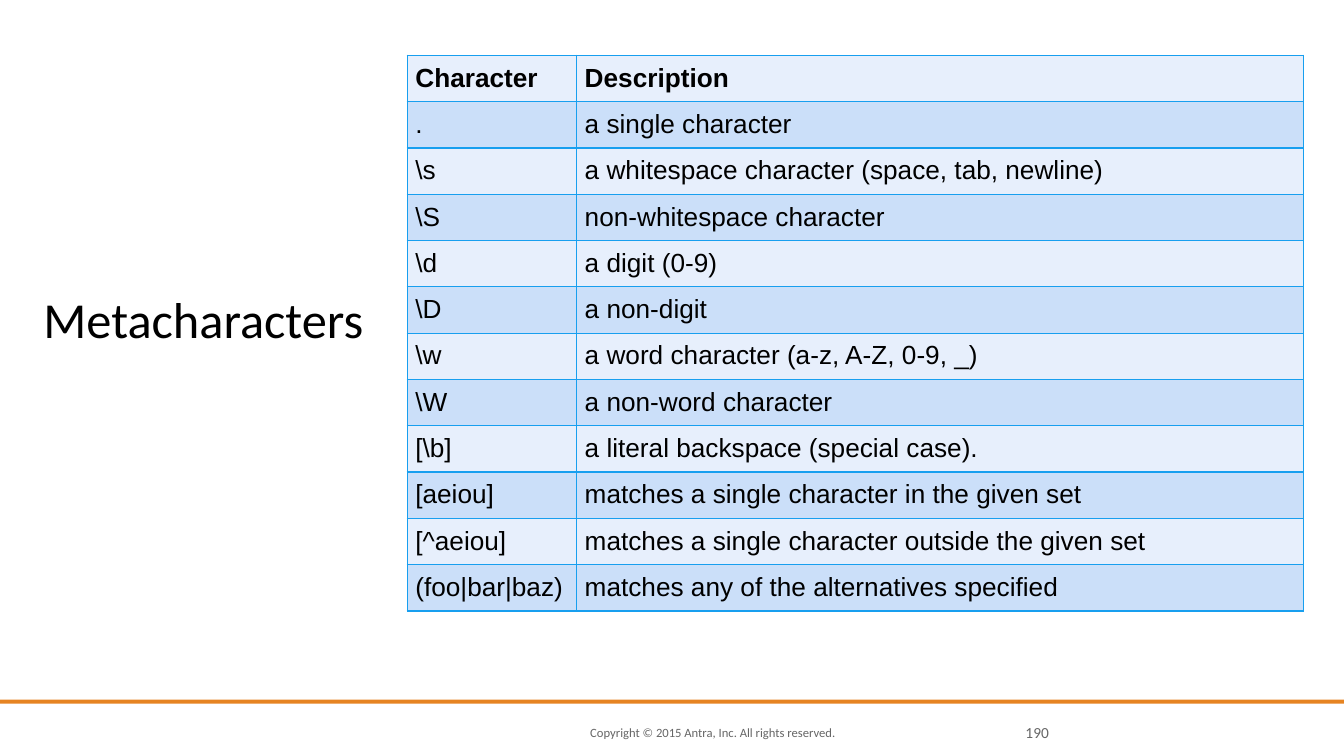
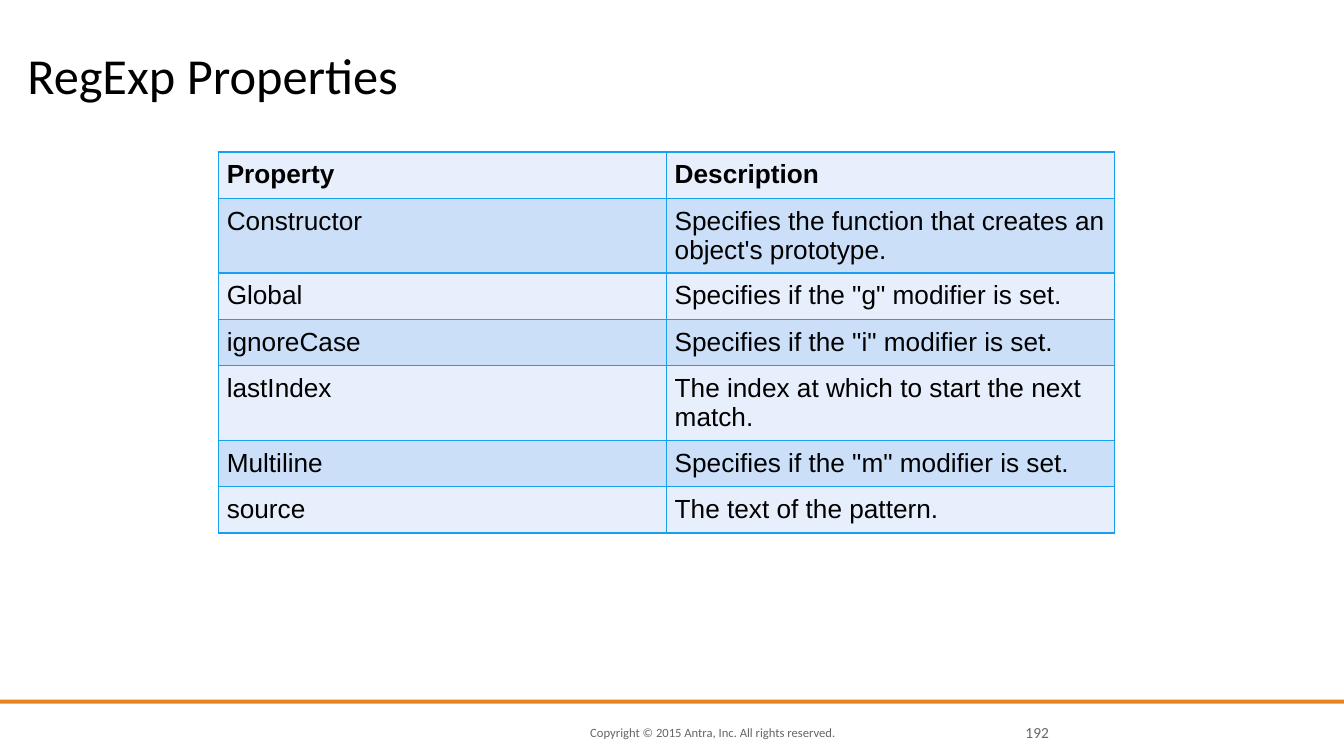
"""Build two reference slides on regular expressions."""
from lxml.etree import SubElement
from pptx import Presentation
from pptx.dml.color import RGBColor
from pptx.enum.shapes import MSO_SHAPE
from pptx.enum.text import MSO_ANCHOR, MSO_AUTO_SIZE, PP_ALIGN
from pptx.oxml.ns import qn
from pptx.util import Pt

BLACK = RGBColor(0x00, 0x00, 0x00)
GREY = RGBColor(0x66, 0x66, 0x66)
ORANGE = RGBColor(0xE6, 0x84, 0x22)
BORDER_BLUE = RGBColor(0x18, 0x9F, 0xEF)
ROW_FILLS = (RGBColor(0xE7, 0xEF, 0xFC), RGBColor(0xCB, 0xDF, 0xF9))
ROW_HEIGHT = 33.1
CELL_INSET = Pt(5.8)

SLIDES = [
    {
        "title": "Metacharacters",
        "title_box": (31, 198, 876, 50.4),
        "number": "190",
        "table_corner": (290.9, 39.5),
        "columns": (121, 519),
        "rows": [
            ("Character", "Description"),
            (".", "a single character"),
            (r"\s", "a whitespace character (space, tab, newline)"),
            (r"\S", "non-whitespace character"),
            (r"\d", "a digit (0-9)"),
            (r"\D", "a non-digit"),
            (r"\w", "a word character (a-z, A-Z, 0-9, _)"),
            (r"\W", "a non-word character"),
            (r"[\b]", "a literal backspace (special case)."),
            ("[aeiou]", "matches a single character in the given set"),
            ("[^aeiou]", "matches a single character outside the given set"),
            ("(foo|bar|baz)", "matches any of the alternatives specified"),
        ],
    },
    {
        "title": "RegExp Properties",
        "title_box": (19.5, 27.4, 876, 46.8),
        "number": "192",
        "table_corner": (156.2, 108.5),
        "columns": (320, 320),
        "rows": [
            ("Property", "Description"),
            ("Constructor", "Specifies the function that creates an object's prototype."),
            ("Global", 'Specifies if the "g" modifier is set.'),
            ("ignoreCase", 'Specifies if the "i" modifier is set.'),
            ("lastIndex", "The index at which to start the next match."),
            ("Multiline", 'Specifies if the "m" modifier is set.'),
            ("source", "The text of the pattern."),
        ],
    },
]


def write(text_frame, text, size, color=BLACK, font="Calibri", bold=False,
          align=PP_ALIGN.LEFT, anchor=MSO_ANCHOR.MIDDLE, inset=0, spacing=1.0):
    text_frame.margin_left = text_frame.margin_right = inset
    text_frame.margin_top = text_frame.margin_bottom = inset
    text_frame.word_wrap = True
    text_frame.auto_size = MSO_AUTO_SIZE.NONE
    text_frame.vertical_anchor = anchor
    paragraph = text_frame.paragraphs[0]
    paragraph.alignment = align
    paragraph.line_spacing = spacing
    run = paragraph.add_run()
    run.text = text
    run.font.name = font
    run.font.size = Pt(size)
    run.font.bold = bold
    run.font.color.rgb = color


def format_cell(cell, text, fill, bold):
    cell.margin_left = cell.margin_right = CELL_INSET
    cell.margin_top = cell.margin_bottom = CELL_INSET
    run = cell.text_frame.paragraphs[0].add_run()
    run.text = text
    run.font.name = "Arial"
    run.font.size = Pt(18.7)
    run.font.bold = bold
    run.font.color.rgb = BLACK
    properties = cell._tc.get_or_add_tcPr()
    for side in ("a:lnL", "a:lnR", "a:lnT", "a:lnB"):
        line = SubElement(properties, qn(side), w=str(Pt(1)))
        solid = SubElement(line, qn("a:solidFill"))
        SubElement(solid, qn("a:srgbClr"), val=str(BORDER_BLUE))
    cell.fill.solid()
    cell.fill.fore_color.rgb = fill


presentation = Presentation()
presentation.slide_width = Pt(960)
presentation.slide_height = Pt(540)
layout = presentation.slide_layouts.get_by_name("Title Only")
slides = [presentation.slides.add_slide(layout) for _ in SLIDES]

shapes = slides[0].shapes
copyright_box = shapes.add_textbox(Pt(421.6), Pt(516.2), Pt(219.6), Pt(14.4))
write(copyright_box.text_frame, "Copyright © 2015 Antra, Inc. All rights reserved.",
      size=9, color=GREY)
band = shapes.add_shape(MSO_SHAPE.RECTANGLE, 0, Pt(499.7), Pt(960), Pt(3))
band.shadow.inherit = False
band.fill.solid()
band.fill.fore_color.rgb = ORANGE
band.line.fill.background()
for shared_shape in (copyright_box, band):
    layout.shapes.element.append(shared_shape.element)

for slide, content in zip(slides, SLIDES):
    title = slide.shapes.title
    title.left, title.top, title.width, title.height = map(Pt, content["title_box"])
    write(title.text_frame, content["title"], size=36,
          anchor=MSO_ANCHOR.BOTTOM, spacing=0.8)

    number_box = slide.shapes.add_textbox(Pt(719.3), Pt(516.2), Pt(30), Pt(14.4))
    write(number_box.text_frame, content["number"], size=11, color=GREY,
          align=PP_ALIGN.RIGHT)

    rows, columns = content["rows"], content["columns"]
    left, top = content["table_corner"]
    table = slide.shapes.add_table(
        len(rows), len(columns), Pt(left), Pt(top),
        Pt(sum(columns)), Pt(ROW_HEIGHT * len(rows))).table
    table.first_row = table.horz_banding = False
    for column, width in zip(table.columns, columns):
        column.width = Pt(width)
    for index, texts in enumerate(rows):
        table.rows[index].height = Pt(ROW_HEIGHT)
        for cell, text in zip(table.rows[index].cells, texts):
            format_cell(cell, text, ROW_FILLS[index % 2], bold=index == 0)

presentation.save("out.pptx")
